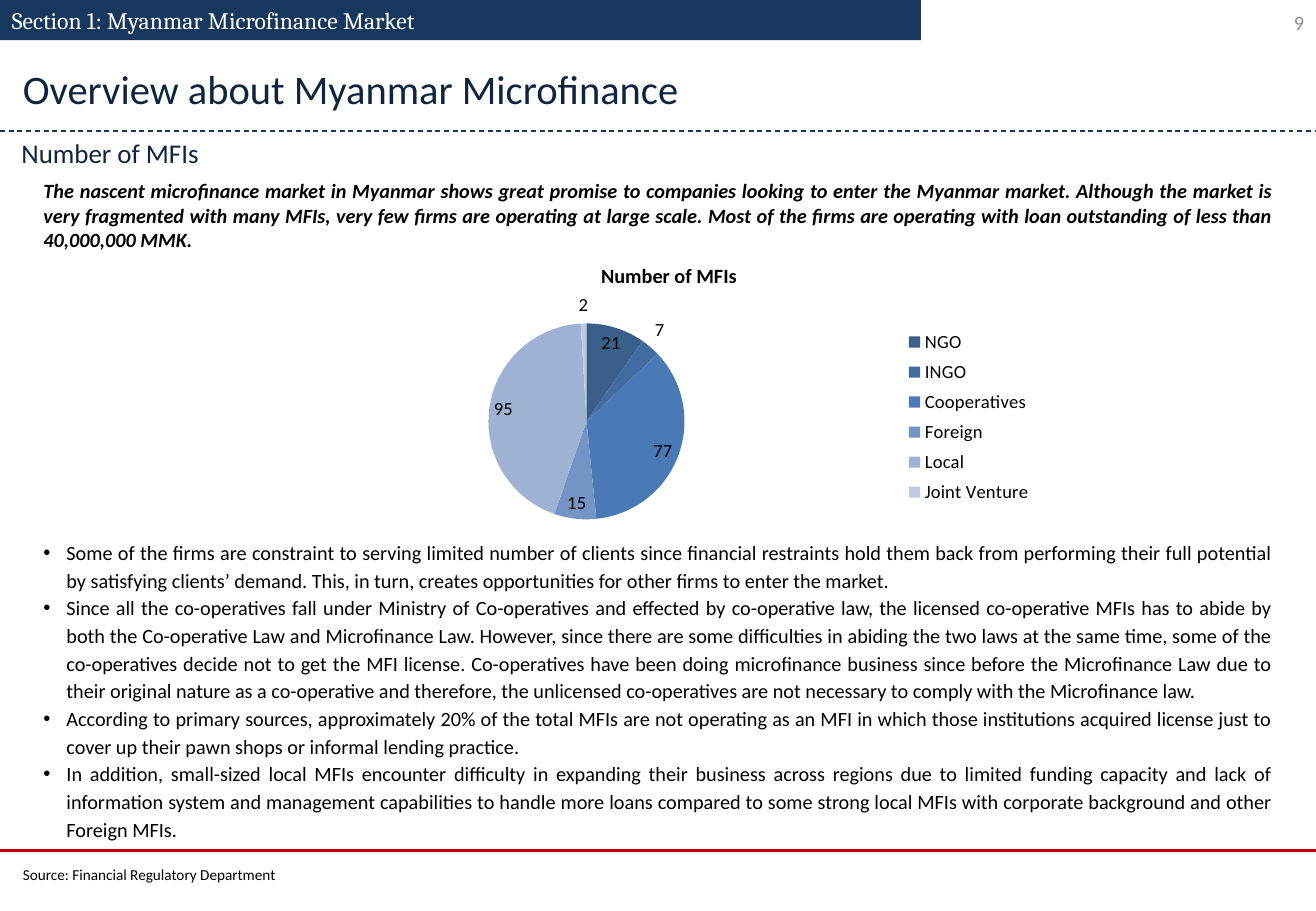
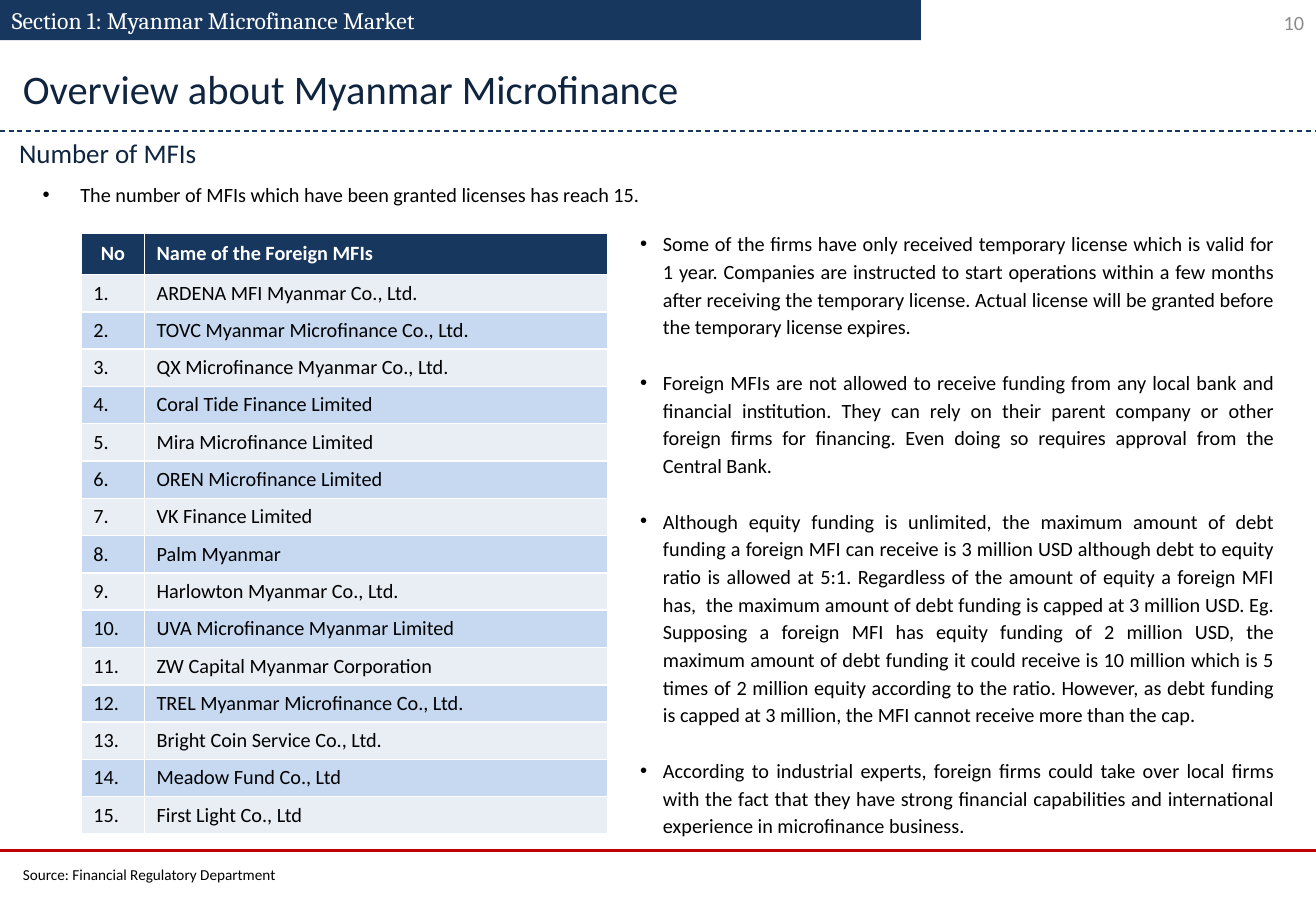
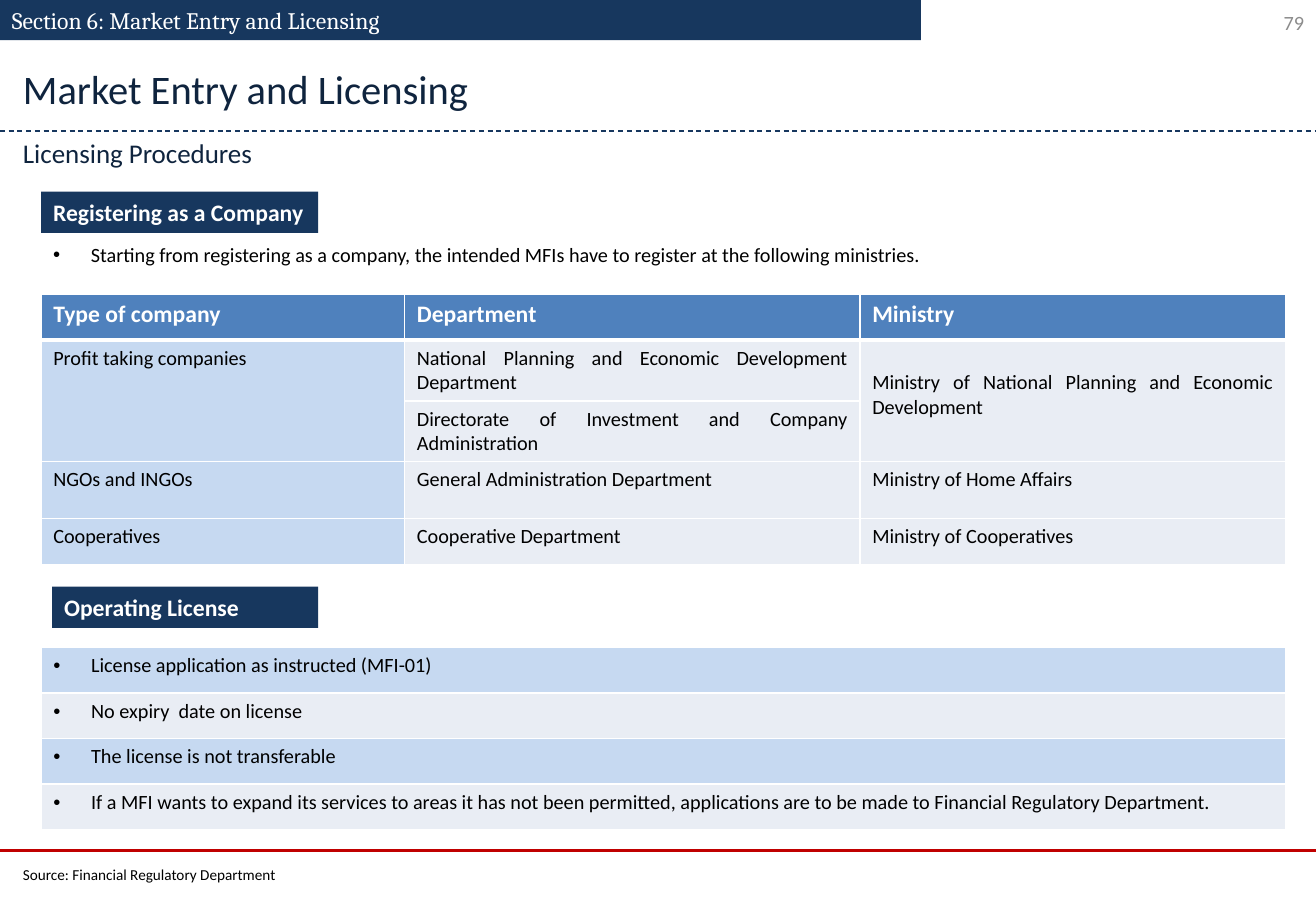
"""Build three slides on the Myanmar microfinance market and its licensing."""
import lxml.etree
import pptx
import pptx.chart.data
import pptx.dml.color
import pptx.enum.chart
import pptx.enum.dml
import pptx.enum.shapes
import pptx.enum.text
import pptx.oxml
import pptx.oxml.ns
import pptx.util

NAVY = pptx.dml.color.RGBColor(0x17, 0x37, 0x5E)
INK = pptx.dml.color.RGBColor(0x0F, 0x24, 0x3E)
RED = pptx.dml.color.RGBColor(0xC0, 0x00, 0x00)
BLUE = pptx.dml.color.RGBColor(0x4F, 0x81, 0xBD)
SKY = pptx.dml.color.RGBColor(0xC6, 0xD9, 0xF1)
PALE = pptx.dml.color.RGBColor(0xE9, 0xED, 0xF4)
GREY = pptx.dml.color.RGBColor(0x8C, 0x8C, 0x8C)
BLACK = pptx.dml.color.RGBColor(0, 0, 0)
WHITE = pptx.dml.color.RGBColor(0xFF, 0xFF, 0xFF)
PIE_COLOURS = [pptx.dml.color.RGBColor.from_string(c) for c in
               ("3A5F8B", "416C9F", "4A7AB5", "7394C5", "A0B2D4", "C0CBE1")]

BODY = {"name": "Calibri", "size": pptx.util.Pt(12), "bold": False, "color": BLACK}
LEAD = {**BODY, "bold": True, "italic": True}
NOTE = {**BODY, "size": pptx.util.Pt(9)}
NUMBER = {**BODY, "color": GREY}
TITLE = {**BODY, "size": pptx.util.Pt(24), "color": INK}
SUBTITLE = {**TITLE, "size": pptx.util.Pt(16)}
SECTION = {"name": "Cambria", "size": pptx.util.Pt(14), "color": WHITE}
HEAD = {**BODY, "bold": True, "color": WHITE}
TAG = {**HEAD, "size": pptx.util.Pt(14)}

LEFT = pptx.enum.text.PP_ALIGN.LEFT
CENTER = pptx.enum.text.PP_ALIGN.CENTER
RIGHT = pptx.enum.text.PP_ALIGN.RIGHT
JUSTIFY = pptx.enum.text.PP_ALIGN.JUSTIFY
TOP = pptx.enum.text.MSO_ANCHOR.TOP
MIDDLE = pptx.enum.text.MSO_ANCHOR.MIDDLE
RECT = pptx.enum.shapes.MSO_SHAPE.RECTANGLE
STRAIGHT = pptx.enum.shapes.MSO_CONNECTOR.STRAIGHT
DASH = pptx.enum.dml.MSO_LINE.DASH
qn = pptx.oxml.ns.qn


def write(tf, lines, style, align=LEFT, hang=0, spacing=None, gap=0):
    """Fill a text frame with one paragraph a line; hang in cm adds bullets."""
    tf.word_wrap = True
    for i, line in enumerate(lines):
        p = tf.paragraphs[0] if i == 0 else tf.add_paragraph()
        if hang:
            pPr = p._p.get_or_add_pPr()
            pPr.set("marL", str(pptx.util.Cm(hang)))
            pPr.set("indent", str(-pptx.util.Cm(hang)))
            lxml.etree.SubElement(pPr, qn("a:buFont"), typeface="Arial")
            lxml.etree.SubElement(pPr, qn("a:buChar"), char="•")
        p.alignment = align
        if spacing:
            p.line_spacing = spacing
        if gap and i:
            p.space_before = pptx.util.Pt(gap)
        r = p.add_run()
        r.text = line
        for key, value in style.items():
            if key == "color":
                r.font.color.rgb = value
            else:
                setattr(r.font, key, value)


def add_grid(s, at, widths, heights, fills, head_line=1):
    """Add a table with white cell borders and the given fills."""
    tbl = s.shapes.add_table(len(heights), len(widths), *map(pptx.util.Cm, at),
                             pptx.util.Cm(sum(widths)), pptx.util.Cm(sum(heights))).table
    tbl.first_row = tbl.horz_banding = False
    for col, width in zip(tbl.columns, widths):
        col.width = pptx.util.Cm(width)
    for i, height in enumerate(heights):
        tbl.rows[i].height = pptx.util.Cm(height)
        for j, fill in enumerate(fills[i]):
            cell = tbl.cell(i, j)
            cell.fill.solid()
            cell.fill.fore_color.rgb = fill
            weights = {"lnL": 1, "lnR": 1, "lnT": head_line if i == 1 else 1,
                       "lnB": head_line if i == 0 else 1}
            for k, (side, weight) in enumerate(weights.items()):
                ln = lxml.etree.Element(qn(f"a:{side}"), w=str(pptx.util.Pt(weight)))
                solid = lxml.etree.SubElement(ln, qn("a:solidFill"))
                lxml.etree.SubElement(solid, qn("a:srgbClr"), val=str(WHITE))
                cell._tc.get_or_add_tcPr().insert(k, ln)
    return tbl


prs = pptx.Presentation()
prs.slide_width, prs.slide_height = pptx.util.Cm(27.51), pptx.util.Cm(19.05)

pages = [
    ("9", "Section 1: Myanmar Microfinance Market",
     "Overview about Myanmar Microfinance", "Number of MFIs", 0.2),
    ("10", "Section 1: Myanmar Microfinance Market",
     "Overview about Myanmar Microfinance", "Number of MFIs", 0.15),
    ("79", "Section 6: Market Entry and Licensing",
     "Market Entry and Licensing", "Licensing Procedures", 0.23),
]
rules = [(17.78, RED, 1.5, None), (2.74, NAVY, 0.75, DASH)]
tags = [[], [], [((0.86, 4.01, 5.79, 0.86), "Registering as a Company"),
                 ((1.09, 12.27, 5.56, 0.86), "Operating License")]]
bullets = {"align": JUSTIFY, "hang": 0.48, "spacing": 1.14}
texts = [
    [
        ((0.66, 3.61, 26.21, 1.8), LEAD, {"align": JUSTIFY}, [
            "The nascent microfinance market in Myanmar shows great promise to companies looking to enter the Myanmar market. Although the market is very fragmented with many MFIs, very few firms are operating at large scale. Most of the firms are operating with loan outstanding of less than 40,000,000 MMK.",
        ]),
        ((0.66, 11.1, 26.21, 6.68), BODY, bullets, [
            "Some of the firms are constraint to serving limited number of clients since financial restraints hold them back from performing their full potential by satisfying clients’ demand. This, in turn, creates opportunities for other firms to enter the market.",
            "Since all the co-operatives fall under Ministry of Co-operatives and effected by co-operative law, the licensed co-operative MFIs has to abide by both the Co-operative Law and Microfinance Law. However, since there are some difficulties in abiding the two laws at the same time, some of the co-operatives decide not to get the MFI license. Co-operatives have been doing microfinance business since before the Microfinance Law due to their original nature as a co-operative and therefore, the unlicensed co-operatives are not necessary to comply with the Microfinance law.",
            "According to primary sources, approximately 20% of the total MFIs are not operating as an MFI in which those institutions acquired license just to cover up their pawn shops or informal lending practice.",
            "In addition, small-sized local MFIs encounter difficulty in expanding their business across regions due to limited funding capacity and lack of information system and management capabilities to handle more loans compared to some strong local MFIs with corporate background and other Foreign MFIs.",
        ]),
    ],
    [
        ((0.64, 3.68, 25.83, 0.76), BODY, {"align": JUSTIFY, "hang": 0.79}, [
            "The number of MFIs which have been granted licenses has reach 15.",
        ]),
        ((13.13, 4.65, 13.77, 12.9), BODY, {**bullets, "gap": 16.5}, [
            "Some of the firms have only received temporary license which is valid for 1 year. Companies are instructed to start operations within a few months after receiving the temporary license. Actual license will be granted before the temporary license expires.",
            "Foreign MFIs are not allowed to receive funding from any local bank and financial institution. They can rely on their parent company or other foreign firms for financing. Even doing so requires approval from the Central Bank.",
            "Although equity funding is unlimited, the maximum amount of debt funding a foreign MFI can receive is 3 million USD although debt to equity ratio is allowed at 5:1. Regardless of the amount of equity a foreign MFI has,  the maximum amount of debt funding is capped at 3 million USD. Eg. Supposing a foreign MFI has equity funding of 2 million USD, the maximum amount of debt funding it could receive is 10 million which is 5 times of 2 million equity according to the ratio. However, as debt funding is capped at 3 million, the MFI cannot receive more than the cap.",
            "According to industrial experts, foreign firms could take over local firms with the fact that they have strong financial capabilities and international experience in microfinance business.",
        ]),
    ],
    [
        ((0.86, 4.95, 26.01, 0.76), BODY, {"hang": 0.79}, [
            "Starting from registering as a company, the intended MFIs have to register at the following ministries.",
        ]),
    ],
]

slides = []
for (number, section, title, subtitle, left), page_tags, page_texts in zip(pages, tags, texts):
    s = prs.slides.add_slide(prs.slide_layouts[6])
    slides.append(s)
    for y, colour, weight, dash in rules:
        line = s.shapes.add_connector(STRAIGHT, 0, pptx.util.Cm(y), prs.slide_width, pptx.util.Cm(y))
        line.line.color.rgb = colour
        line.line.width = pptx.util.Pt(weight)
        if dash:
            line.line.dash_style = dash
        lxml.etree.SubElement(line._element.spPr, qn("a:effectLst"))
    bands = [((0, 0, 19.25, 0.84), section, SECTION)]
    bands += [(box, text, TAG) for box, text in page_tags]
    for box, text, style in bands:
        sp = s.shapes.add_shape(RECT, *map(pptx.util.Cm, box))
        sp.shadow.inherit = False
        sp.fill.solid()
        sp.fill.fore_color.rgb = NAVY
        sp.line.fill.background()
        sp.text_frame.vertical_anchor = TOP
        sp.text_frame.margin_right = 0
        write(sp.text_frame, [text], style)
    boxes = [
        ((21.13, 0, 6.38, 0.96), NUMBER, {"align": RIGHT}, [number]),
        ((0.23, 1.22, 21.16, 1.27), TITLE, {}, [title]),
        ((left, 2.74, 25.37, 0.94), SUBTITLE, {}, [subtitle]),
        ((0.23, 17.98, 19.71, 0.64), NOTE, {}, ["Source: Financial Regulatory Department"]),
    ]
    for box, style, layout, lines in boxes + page_texts:
        tf = s.shapes.add_textbox(*map(pptx.util.Cm, box)).text_frame
        tf.vertical_anchor = MIDDLE if style is NUMBER else TOP
        write(tf, lines, style, **layout)

market, foreign, licensing = slides

data = pptx.chart.data.CategoryChartData()
data.categories = ["NGO", "INGO", "Cooperatives", "Foreign", "Local", "Joint Venture"]
data.add_series("Number of MFIs", [21, 7, 77, 15, 95, 2])
chart = market.shapes.add_chart(pptx.enum.chart.XL_CHART_TYPE.PIE,
                                *map(pptx.util.Cm, (6.15, 5.16, 15.67, 5.94)), data).chart
chart.font.name = "Calibri"
chart.font.size = pptx.util.Pt(11)
chart.font.color.rgb = BLACK
chart.has_title = True
write(chart.chart_title.text_frame, ["Number of MFIs"], {**BODY, "bold": True}, CENTER)
chart.has_legend = True
chart.legend.position = pptx.enum.chart.XL_LEGEND_POSITION.RIGHT
chart.legend.include_in_layout = False
chart.legend.font.size = pptx.util.Pt(11)
plot = chart.plots[0]
plot.vary_by_categories = True
plot.has_data_labels = True
plot.data_labels.show_value = True
plot.data_labels.show_percentage = False
plot.data_labels.font.size = pptx.util.Pt(11)
plot.data_labels.position = pptx.enum.chart.XL_LABEL_POSITION.BEST_FIT
for i, colour in enumerate(PIE_COLOURS):
    fill = plot.series[0].points[i].format.fill
    fill.solid()
    fill.fore_color.rgb = colour

frames = [
    (chart._chartSpace.chart.plotArea, 0, {"x": 0.22, "y": 0.27, "w": 0.34, "h": 0.69}),
    (chart.legend._element, 1, {"x": 0.81, "y": 0.27, "w": 0.18, "h": 0.66}),
]
for parent, index, area in frames:
    for old in parent.findall(qn("c:layout")):
        parent.remove(old)
    layout = lxml.etree.Element(qn("c:layout"))
    manual = lxml.etree.SubElement(layout, qn("c:manualLayout"))
    if index == 0:
        lxml.etree.SubElement(manual, qn("c:layoutTarget"), val="inner")
    for side in "xy":
        lxml.etree.SubElement(manual, qn(f"c:{side}Mode"), val="edge")
    for key, value in area.items():
        lxml.etree.SubElement(manual, qn(f"c:{key}"), val=str(value))
    parent.insert(index, layout)

firms = [
    "ARDENA MFI Myanmar Co., Ltd.",
    "TOVC Myanmar Microfinance Co., Ltd.",
    "QX Microfinance Myanmar Co., Ltd.",
    "Coral Tide Finance Limited",
    "Mira Microfinance Limited",
    "OREN Microfinance Limited",
    "VK Finance Limited",
    "Palm Myanmar",
    "Harlowton Myanmar Co., Ltd.",
    "UVA Microfinance Myanmar Limited",
    "ZW Capital Myanmar Corporation",
    "TREL Myanmar Microfinance Co., Ltd.",
    "Bright Coin Service Co., Ltd.",
    "Meadow Fund Co., Ltd",
    "First Light Co., Ltd",
]
rows = [("No", "Name of the Foreign MFIs")]
rows += [(f"{n}.", firm) for n, firm in enumerate(firms, 1)]
fills = [[NAVY] * 2] + [[(PALE, SKY)[i % 2]] * 2 for i in range(len(firms))]
tbl = add_grid(foreign, (1.7, 4.88), [1.32, 9.68], [0.86] + [0.78] * len(firms), fills)
for i, row in enumerate(rows):
    for j, text in enumerate(row):
        cell = tbl.cell(i, j)
        cell.vertical_anchor = MIDDLE
        write(cell.text_frame, [text], BODY if i else HEAD, CENTER if i == j == 0 else LEFT)

rows = [
    ("Type of company", "Department", "Ministry"),
    ("Profit taking companies", "National Planning and Economic Development Department",
     "Ministry of National Planning and Economic Development"),
    ("", "Directorate of Investment and Company Administration", ""),
    ("NGOs and INGOs", "General Administration Department", "Ministry of Home Affairs"),
    ("Cooperatives", "Cooperative Department", "Ministry of Cooperatives"),
]
tbl = add_grid(licensing, (0.86, 6.15), [7.6, 9.52, 8.89], [0.96, 1.19, 1.19, 1.19, 0.96],
               [[BLUE] * 3] + [[SKY, PALE, PALE]] * 4, head_line=3)
for j in (0, 2):
    tbl.cell(1, j).merge(tbl.cell(2, j))
tbl.cell(1, 2).margin_top = pptx.util.Cm(0.64)
for i, row in enumerate(rows):
    for j, text in enumerate(row):
        if text:
            write(tbl.cell(i, j).text_frame, [text], BODY if i else TAG,
                  JUSTIFY if i and j else LEFT)

terms = [
    "License application as instructed (MFI-01)",
    "No expiry  date on license",
    "The license is not transferable",
    "If a MFI wants to expand its services to areas it has not been permitted, applications are to be made to Financial Regulatory Department.",
]
tbl = add_grid(licensing, (0.86, 13.54), [26.01], [0.95] * len(terms), [[SKY], [PALE]] * 2)
for i, term in enumerate(terms):
    write(tbl.cell(i, 0).text_frame, [term], BODY, hang=0.79)

prs.save("out.pptx")
